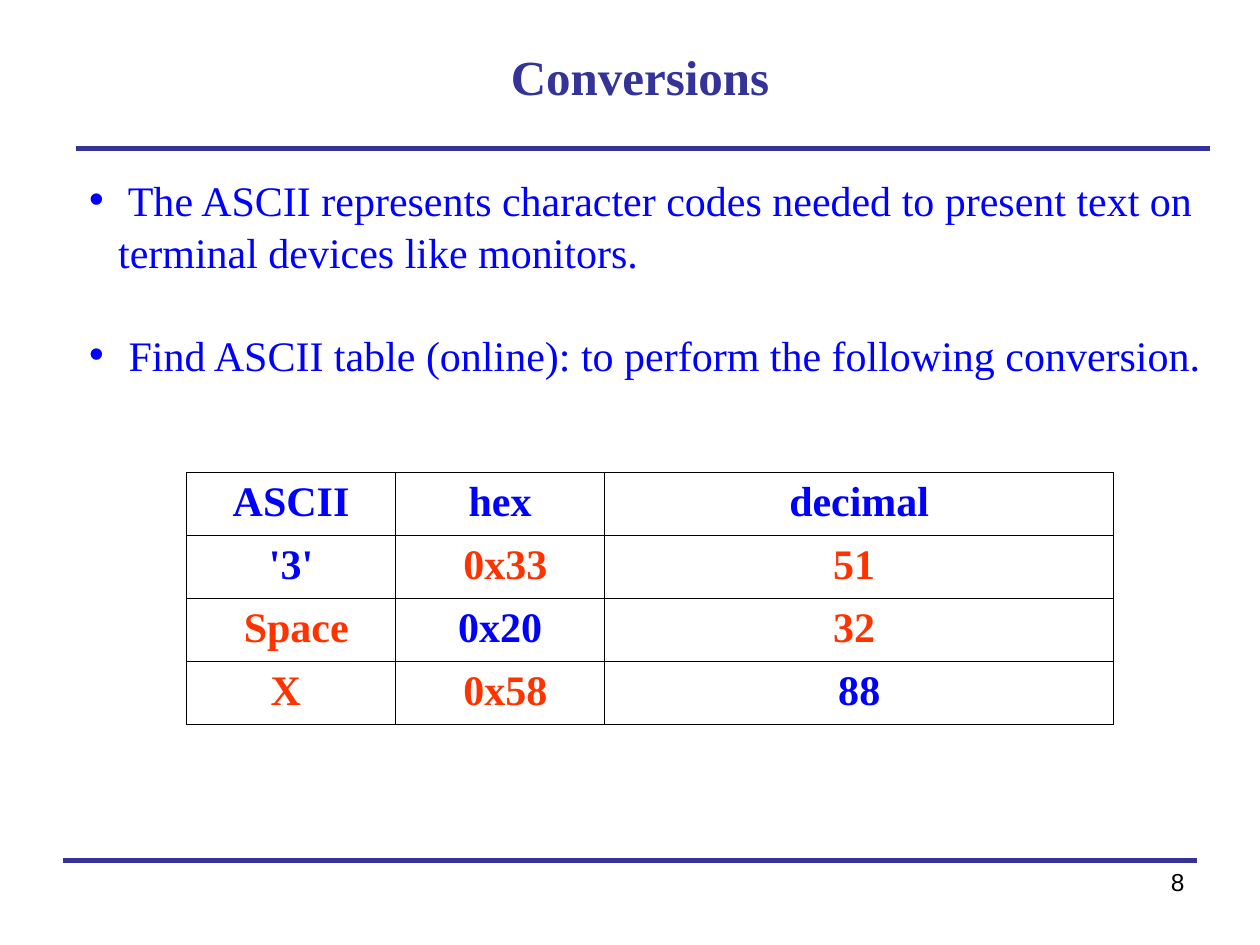
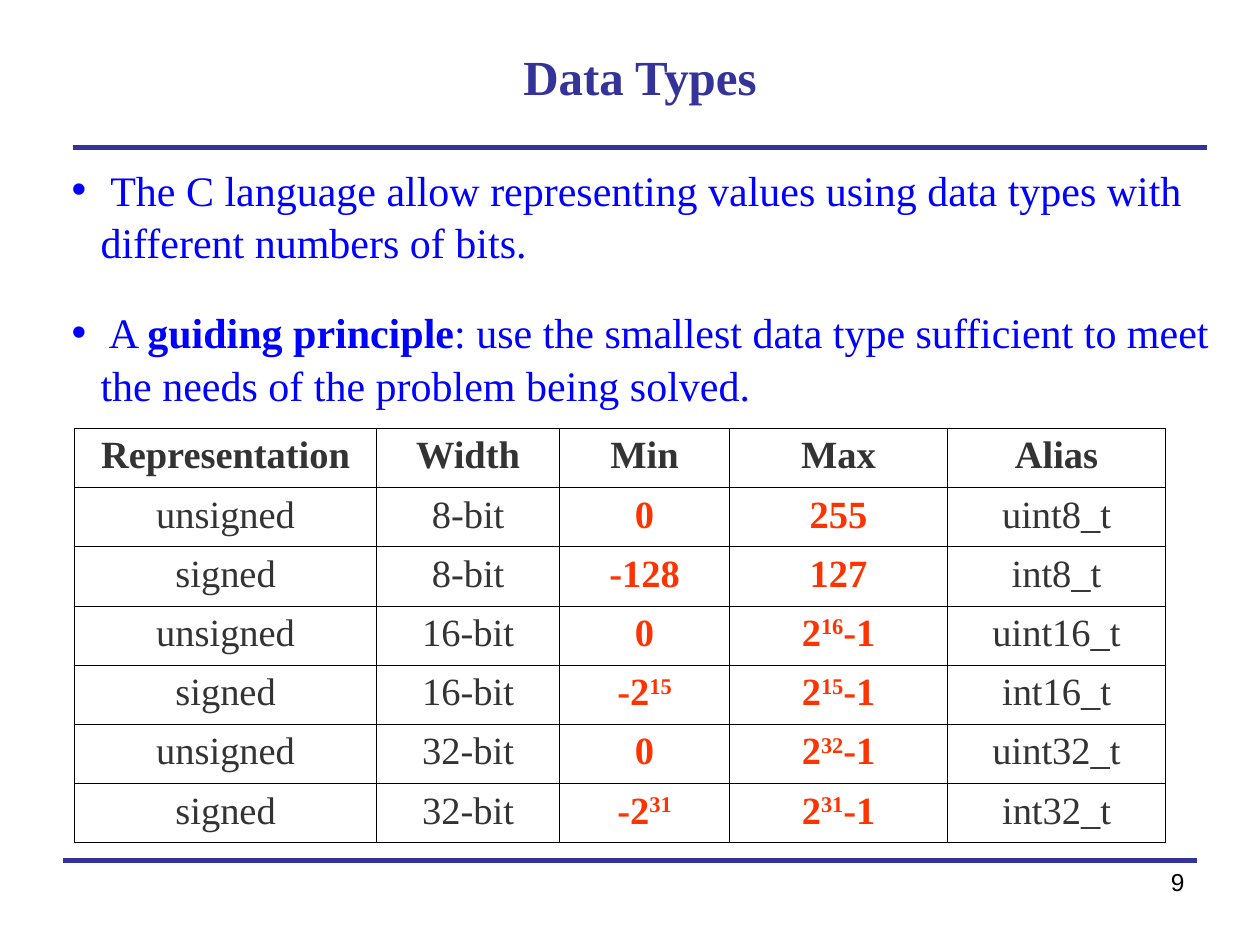
from dataclasses import dataclass

from lxml.etree import SubElement
from pptx import Presentation
from pptx.dml.color import RGBColor
from pptx.enum.shapes import MSO_CONNECTOR
from pptx.enum.text import MSO_ANCHOR, PP_ALIGN
from pptx.oxml.ns import qn
from pptx.slide import Slide
from pptx.text.text import Font, TextFrame
from pptx.util import Inches, Pt

COLORS = {
    "accent": "333399",
    "body": "0000FF",
    "answer": "FF3300",
    "grid": "333333",
    "black": "000000",
    "white": "FFFFFF",
}
SERIF = "Times New Roman"
SANS = "Arial"
RULE_LENGTH = 9.0
BULLET_HANG = 0.23


@dataclass(frozen=True)
class Cell:
    """Table text; parts between ^ marks are superscript."""
    text: str
    color: str
    bold: bool = True


@dataclass(frozen=True)
class Bullets:
    """Bulleted text; parts between | marks are bold."""
    place: tuple[float, float, float, float]
    gap: float
    items: list[str]


@dataclass(frozen=True)
class Grid:
    left: float
    top: float
    columns: list[float]
    row_height: float
    size: int
    rows: list[list[Cell]]


@dataclass(frozen=True)
class Page:
    number: int
    title: str
    rule_start: tuple[float, float]
    bullets: Bullets
    grid: Grid


def known(text: str) -> Cell:
    return Cell(text, "body")


def answer(text: str) -> Cell:
    return Cell(text, "answer")


def plain(text: str) -> Cell:
    return Cell(text, "grid", False)


def type_row(sign: str, width: str, low: str, high: str, alias: str) -> list[Cell]:
    return [plain(sign), plain(width), answer(low), answer(high), plain(alias)]


def style_font(font: Font, name: str, size: float, color: str, bold: bool = False) -> None:
    font.name = name
    font.size = Pt(size)
    font.bold = bold
    font.color.rgb = RGBColor.from_string(COLORS[color])


def add_text_frame(slide: Slide, place: tuple[float, float, float, float],
                   anchor: MSO_ANCHOR) -> TextFrame:
    frame = slide.shapes.add_textbox(*map(Inches, place)).text_frame
    frame.word_wrap = True
    frame.vertical_anchor = anchor
    return frame


def add_rule(slide: Slide, left: float, top: float) -> None:
    rule = slide.shapes.add_connector(
        MSO_CONNECTOR.STRAIGHT, Inches(left), Inches(top),
        Inches(left + RULE_LENGTH), Inches(top))
    rule.line.color.rgb = RGBColor.from_string(COLORS["accent"])
    rule.line.width = Pt(3)
    SubElement(rule._element.spPr, qn("a:effectLst"))


def add_frame(slide: Slide, page: Page) -> None:
    """Draw the title, both rules and the page number."""
    para = add_text_frame(slide, (0.58, 0.25, 9, 0.7), MSO_ANCHOR.MIDDLE).paragraphs[0]
    para.text = page.title
    para.alignment = PP_ALIGN.CENTER
    style_font(para.font, SERIF, 28, "accent", True)

    add_rule(slide, *page.rule_start)
    add_rule(slide, 0.5, 6.83)

    para = add_text_frame(slide, (7.17, 6.83, 2.33, 0.52), MSO_ANCHOR.TOP).paragraphs[0]
    para.text = str(page.number)
    para.alignment = PP_ALIGN.RIGHT
    style_font(para.font, SANS, 14, "black")


def add_bullets(slide: Slide, bullets: Bullets) -> None:
    frame = add_text_frame(slide, bullets.place, MSO_ANCHOR.MIDDLE)
    for index, item in enumerate(bullets.items):
        para = frame.add_paragraph() if index else frame.paragraphs[0]
        if index:
            para.space_before = Pt(bullets.gap)
        para.line_spacing = 1.04
        properties = para._p.get_or_add_pPr()
        properties.set("marL", str(Inches(BULLET_HANG)))
        properties.set("indent", str(-Inches(BULLET_HANG)))
        SubElement(properties, qn("a:buFont"), typeface=SANS)
        SubElement(properties, qn("a:buChar"), char="•")
        style_font(para.font, SERIF, 24, "body")
        for part, text in enumerate(item.split("|")):
            span = para.add_run()
            span.text = text
            style_font(span.font, SERIF, 24, "body", part % 2 == 1)


def add_grid(slide: Slide, grid: Grid) -> None:
    height = grid.row_height * len(grid.rows)
    table = slide.shapes.add_table(
        len(grid.rows), len(grid.columns), Inches(grid.left), Inches(grid.top),
        Inches(sum(grid.columns)), Inches(height)).table
    table.first_row = table.horz_banding = False
    for column, width in zip(table.columns, grid.columns):
        column.width = Inches(width)
    for row, contents in zip(table.rows, grid.rows):
        row.height = Inches(grid.row_height)
        for box, content in zip(row.cells, contents):
            for side in ("lnL", "lnR", "lnT", "lnB"):
                line = SubElement(box._tc.get_or_add_tcPr(), qn(f"a:{side}"), w=str(Pt(0.45)))
                paint = SubElement(line, qn("a:solidFill"))
                SubElement(paint, qn("a:srgbClr"), val=COLORS["black"])
            box.fill.solid()
            box.fill.fore_color.rgb = RGBColor.from_string(COLORS["white"])
            para = box.text_frame.paragraphs[0]
            para.alignment = PP_ALIGN.CENTER
            style_font(para.font, SERIF, grid.size, content.color, content.bold)
            for part, text in enumerate(content.text.split("^")):
                span = para.add_run()
                span.text = text
                if part % 2:
                    span.font._element.set("baseline", "30000")


PAGES = [
    Page(
        8, "Conversions", (0.6, 1.18),
        Bullets((0.61, 1.34, 9.04, 1.7), 28.8, [
            " The ASCII represents character codes needed to present text on "
            "terminal devices like monitors.",
            " Find ASCII table (online): to perform the following conversion.",
        ]),
        Grid(1.48, 3.75, [1.66, 1.66, 4.04], 0.5, 24, [
            [known("ASCII"), known("hex"), known("decimal")],
            [known("'3'"), answer(" 0x33"), answer("51 ")],
            [answer(" Space"), known("0x20"), answer("32 ")],
            [answer("X "), answer(" 0x58"), known("88")],
        ]),
    ),
    Page(
        9, "Data Types", (0.58, 1.17),
        Bullets((0.47, 1.27, 9.31, 2), 21.6, [
            " The C language allow representing values using data types with "
            "different numbers of bits.",
            " A |guiding principle|: use the smallest data type sufficient to meet "
            "the needs of the problem being solved.",
        ]),
        Grid(0.59, 3.4, [2.4, 1.45, 1.35, 1.73, 1.73], 0.47, 22, [
            [Cell(name, "grid") for name in ("Representation", "Width", "Min", "Max", "Alias")],
            type_row("unsigned", "8-bit", "0", "255", "uint8_t"),
            type_row("signed", "8-bit", "-128", "127", "int8_t"),
            type_row("unsigned", "16-bit", "0", "2^16^-1", "uint16_t"),
            type_row("signed", "16-bit", "-2^15", "2^15^-1", "int16_t"),
            type_row("unsigned", "32-bit", "0", "2^32^-1", "uint32_t"),
            type_row("signed", "32-bit", "-2^31", "2^31^-1", "int32_t"),
        ]),
    ),
]


def main() -> None:
    deck = Presentation()
    deck.slide_width = Inches(10)
    deck.slide_height = Inches(7.5)
    for page in PAGES:
        slide = deck.slides.add_slide(deck.slide_layouts[6])
        add_frame(slide, page)
        add_bullets(slide, page.bullets)
        add_grid(slide, page.grid)
    deck.save("out.pptx")


if __name__ == "__main__":
    main()
